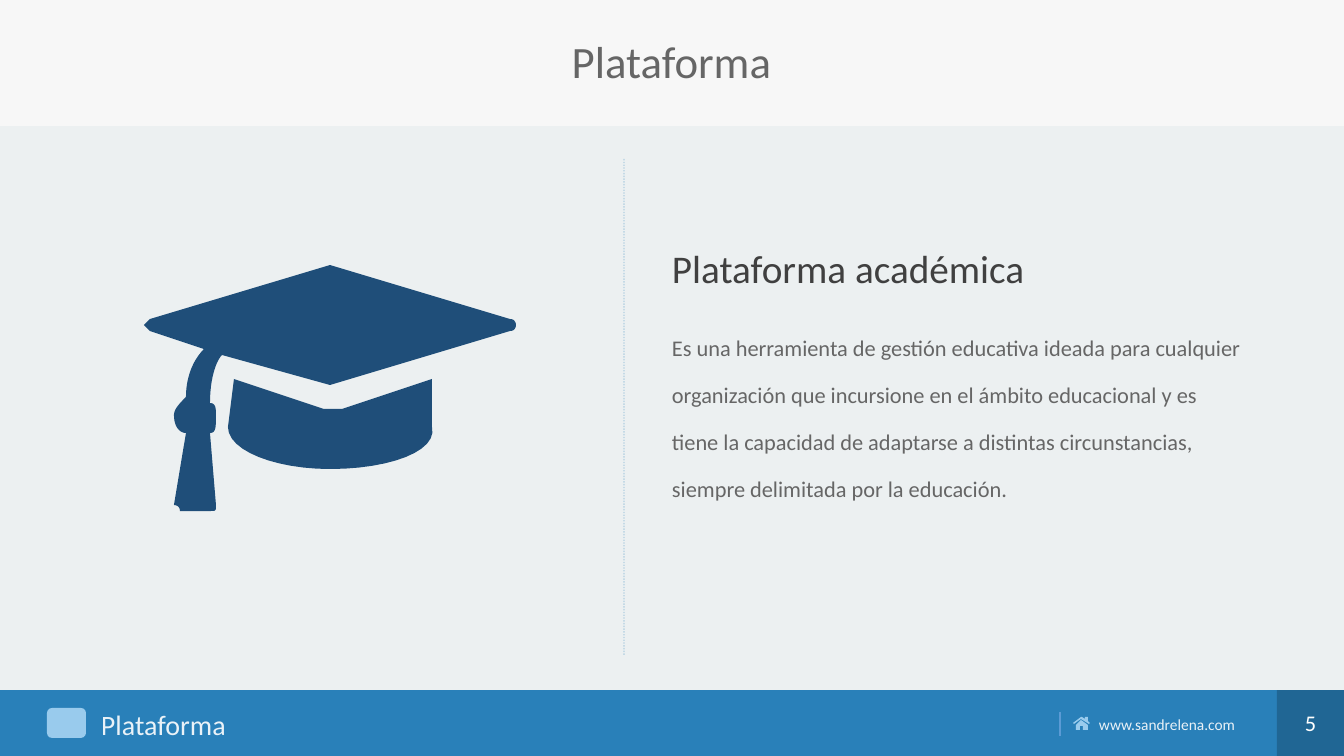
from dataclasses import dataclass
from pptx import Presentation
from pptx.dml.color import RGBColor as Rgb
from pptx.enum.dml import MSO_LINE as Dash
from pptx.enum.shapes import MSO_CONNECTOR as Link, MSO_SHAPE as Kind
from pptx.enum.text import MSO_ANCHOR as Anchor, PP_ALIGN as Align
from pptx.oxml.ns import qn
from pptx.util import Pt
from lxml.etree import SubElement as Sub

PX = 12192000 / 1344


@dataclass(frozen=True)
class Theme:
    font: str = "Calibri"
    page: str = "ECF0F1"
    head: str = "F7F7F7"
    bar: str = "2980B9"
    icon: str = "99CBED"
    rule: str = "5B9BD5"
    cap: str = "1F4E79"
    dark: str = "404040"
    grey: str = "666666"
    white: str = "FFFFFF"
    black: str = "000000"
    title: int = 32
    lead: int = 28
    brand: int = 20
    body: int = 16
    site: int = 11


T = Theme()

BOARD = [
    (61, 11), (31, 20), (13, 15),
    (12, 16, 11, 19, 11, 23), (12, 23, 12, 24, 12, 25),
    (12, 27, 12, 28, 11, 28), (12, 40),
    (12, 41, 12, 41, 11, 41), (6, 41), (6, 40, 5, 40, 5, 40),
    (7, 28), (6, 28, 5, 27, 5, 25), (5, 24, 6, 23, 7, 22),
    (7, 19, 8, 16, 10, 14), (1, 11), (0, 10), (1, 9), (31, 0),
    (61, 9), (62, 9, 62, 10, 62, 10), (62, 10, 62, 11, 61, 11),
]
BOWL = [
    (48, 27), (49, 31, 41, 34, 31, 34), (22, 34, 14, 31, 14, 27),
    (15, 19), (30, 24), (33, 24), (48, 19),
]
ROOF = [
    (0, 6), (8, 0), (9, 0), (12, 2), (12, 0), (15, 0),
    (15, 4), (17, 6), (16, 7), (8, 2), (1, 7),
]
WALLS = [
    (8, 3), (15, 8), (15, 13), (10, 13), (10, 9),
    (7, 9), (7, 13), (3, 13), (3, 8),
]


def px(n):
    return round(n * PX)


def fade(fill, pct):
    tone = fill._xPr.find(qn("a:solidFill"))[0]
    Sub(tone, qn("a:alpha"), val=str(pct * 1000))


def paint(shape, color, pct=100):
    shape.shadow.inherit = False
    shape.fill.solid()
    shape.fill.fore_color.rgb = Rgb.from_string(color)
    shape.line.fill.background()
    if pct < 100:
        fade(shape.fill, pct)


def block(slide, box, color, pct=100, kind=Kind.RECTANGLE):
    shape = slide.shapes.add_shape(kind, *map(px, box))
    paint(shape, color, pct)
    return shape


def write(shape, text, size, color, pct=100, align=Align.LEFT,
          space=1.0, right=0, wrap=True, anchor=Anchor.TOP):
    frame = shape.text_frame
    frame.margin_left = frame.margin_top = frame.margin_bottom = 0
    frame.margin_right = px(right)
    frame.word_wrap = wrap
    frame.vertical_anchor = anchor
    para = frame.paragraphs[0]
    para.alignment = align
    para.line_spacing = space
    run = para.add_run()
    run.text = text
    font = run.font
    font.name, font.size = T.font, Pt(size)
    font.color.rgb = Rgb.from_string(color)
    if pct < 100:
        fade(font.fill, pct)


def label(slide, box, *args, **opts):
    write(slide.shapes.add_textbox(*map(px, box)), *args, **opts)


def line(slide, x, top, end, color):
    rule = slide.shapes.add_connector(
        Link.STRAIGHT, px(x), px(top), px(x), px(end))
    rule.line.color.rgb = Rgb.from_string(color)
    rule.line.width = Pt(1)
    Sub(rule._element.spPr, qn("a:effectLst"))
    return rule


def trace(steps, cuts=12):
    spots = [steps[0]]
    for step in steps[1:]:
        if len(step) == 2:
            spots.append(step)
            continue
        ends = [spots[-1], step[:2], step[2:4], step[4:]]
        for i in range(1, cuts + 1):
            t = i / cuts
            u = 1 - t
            mix = (u ** 3, 3 * u * u * t, 3 * u * t * t, t ** 3)
            spots.append(tuple(
                sum(m * p[k] for m, p in zip(mix, ends)) for k in (0, 1)))
    return spots


def draw(slide, x, y, unit, parts, color):
    pen = None
    for part in parts:
        spots = [(px(a * unit), px(b * unit)) for a, b in trace(part)]
        if pen:
            pen.move_to(*spots[0])
        else:
            pen = slide.shapes.build_freeform(*spots[0])
        pen.add_line_segments(spots[1:], close=True)
    paint(pen.convert_to_shape(px(x), px(y)), color)


def header(slide, x, y, w, h):
    block(slide, (x, y, w, h), T.head)
    label(slide, (x + 50, y + 40, w - 101, 54), "Plataforma",
          T.title, T.grey, align=Align.CENTER, space=0.9)


def footer(slide, x, y, w, h):
    block(slide, (x, y, w, h), T.bar)
    block(slide, (x + 47, y + 18, 39, 30), T.icon,
          kind=Kind.ROUNDED_RECTANGLE)
    label(slide, (x + 101, y + 17, 173, 34), "Plataforma",
          T.brand, T.white, 90)
    line(slide, x + 1060, y + 22, y + 46, T.rule)
    draw(slide, x + 1073, y + 27, 1, [ROOF, WALLS], T.icon)
    label(slide, (x + 1099, y + 25, 153, 19), "www.sandrelena.com",
          T.site, T.white, 90, wrap=False)
    page = block(slide, (x + w - 67, y, 67, h), T.black, 20)
    write(page, "5", T.body, T.white, align=Align.CENTER,
          anchor=Anchor.MIDDLE)


def art(slide, x, y, w, h):
    draw(slide, x + 144, y + 139, 6, [BOARD, BOWL], T.cap)
    rule = line(slide, x + w, y + 33, y + h - 35, T.bar)
    rule.line.dash_style = Dash.ROUND_DOT
    fade(rule.line.fill, 30)


def copy(slide, x, y, w, h):
    label(slide, (x, y + 124, w, 35), "Plataforma académica",
          T.lead, T.dark, space=0.9)
    label(slide, (x, y + 188, w, 236),
          "Es una herramienta de gestión educativa ideada para cualquier "
          "organización que incursione en el ámbito educacional y es tiene "
          "la capacidad de adaptarse a distintas circunstancias, siempre "
          "delimitada por la educación.",
          T.body, T.grey, space=1.75, right=50)


def main():
    deck = Presentation()
    deck.slide_width, deck.slide_height = px(1344), px(756)
    slide = deck.slides.add_slide(deck.slide_layouts[6])
    slide.background.fill.solid()
    slide.background.fill.fore_color.rgb = Rgb.from_string(T.page)
    header(slide, 0, 0, 1344, 126)
    art(slide, 0, 126, 624, 564)
    copy(slide, 672, 126, 622, 564)
    footer(slide, 0, 690, 1344, 66)
    deck.save("out.pptx")


if __name__ == "__main__":
    main()
